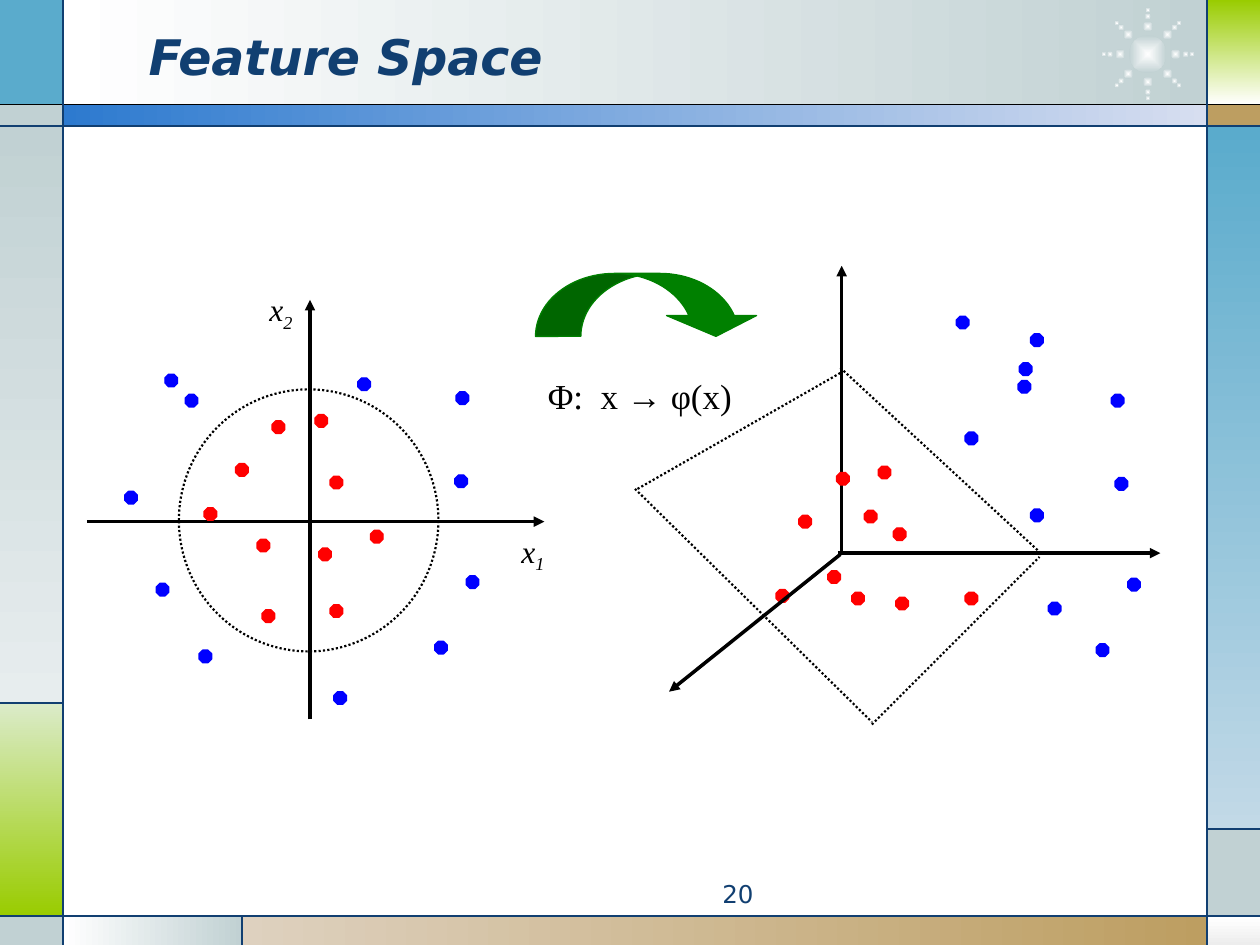
"""Build the Feature Space slide: a kernel map from a plane to a 3-D space."""
import math

from lxml import etree
from pptx import Presentation
from pptx import util as u
from pptx.dml.color import RGBColor
from pptx.enum import dml, shapes, text
from pptx.oxml.ns import qn

SANS, SERIF = "DejaVu Sans", "Times New Roman"
NAVY, BLACK, RED, BLUE, GREEN = "113F71", "000000", "FF0000", "0000FF", "008000"
COLUMNS = [0, 0.5, 1.92, 9.58, 10]
ROWS = [0, 0.83, 1, 5.58, 6.58, 7.27, 7.5]
DOWN, ACROSS = 270, 0

PANELS = [  # (first column, end column), (first row, end row), colours, direction
    ((1, 3), (0, 1), ["FFFFFF", "C1D1D3"], ACROSS),
    ((0, 1), (0, 1), ["5AABCC"], None),
    ((0, 1), (1, 2), ["C1D1D3"], None),
    ((0, 1), (2, 3), ["C1D1D3", "E7EDEE"], DOWN),
    ((0, 1), (3, 5), ["DBEBC9", "99CC00"], DOWN),
    ((0, 1), (5, 6), ["C1D1D3"], None),
    ((1, 2), (5, 6), ["FFFFFF", "C1D1D3"], ACROSS),
    ((2, 3), (5, 6), ["DED1BF", "BD9E61"], ACROSS),
    ((3, 4), (5, 6), ["FFFFFF", "EDEDED"], DOWN),
    ((3, 4), (4, 5), ["C1D1D3"], None),
    ((3, 4), (2, 4), ["5AABCC", "C2D9E7"], DOWN),
    ((3, 4), (1, 2), ["BD9E61"], None),
    ((3, 4), (0, 1), ["99CC00", "FFFFFF"], DOWN),
    ((1, 3), (1, 2), ["2D7ACF", "D7DEF0"], ACROSS),
]
RULES = [
    ((0, 1), (4, 1), BLACK), ((0, 2), (4, 2), NAVY), ((0, 5), (4, 5), NAVY),
    ((1, 0), (1, 6), NAVY), ((3, 0), (3, 6), NAVY), ((1, 3), (0, 3), NAVY),
    ((2, 5), (2, 6), NAVY), ((3, 4), (4, 4), NAVY),
]
SUN_CENTRE, SUN_CORE, SUN_RAYS = (9.11, 0.43), 0.3, 8
SUN_BEADS = [(0.22, 0.08), (0.3, 0.05), (0.35, 0.04)]

UNIT, DOT = 0.01, 0.1
PLOTS = [
    {
        "origin": (6.68, 4.39),
        "axes": [((0, 1), (0, 228)), ((-3, 0), (253, 0))],
        RED: [(34, 64), (-29, 25), (13, -36), (103, -36), (1, 59), (23, 29),
              (48, -40), (46, 15), (-6, -19), (-47, -34)],
        BLUE: [(222, 55), (207, -77), (155, 169), (155, 30), (232, -25), (103, 91),
               (169, -44), (146, 146), (145, 132), (96, 183), (219, 121)],
        "depth": [((-1, -1), (-137, -110))],
        "plane": [((-1, 147), (157, 1)), ((24, -136), (157, -3)),
                  ((-162, 51), (-1, 143)), ((-164, 51), (24, -134))],
        "circle": [],
    },
    {
        "origin": (2.46, 4.14),
        "axes": [((0, -157), (0, 176)), ((-177, 0), (186, 0))],
        RED: [(9, 80), (-54, 41), (-37, -19), (21, -71), (-25, 75), (-79, 6),
              (-33, -75), (21, 31), (53, -12), (12, -26)],
        BLUE: [(120, 32), (104, -100), (-142, 19), (24, -140), (129, -48), (-83, -107),
               (-117, -54), (-110, 112), (43, 109), (-94, 96), (121, 98)],
        "depth": [],
        "plane": [],
        "circle": [((-1, 1), (2.06, 2.08))],
    },
]
LABELS = [
    ((4.04, 4.17, 0.5, 0.4), [("x", 0), ("1", -25)], 18, SERIF, BLACK, True, "LEFT"),
    ((2.04, 2.25, 0.5, 0.4), [("x", 0), ("2", -25)], 18, SERIF, BLACK, True, "LEFT"),
    ((4.25, 2.92, 2.08, 0.43), [("Φ:  x → φ(x)", 0)], 20, SERIF, BLACK, False, "LEFT"),
    ((3.75, 6.93, 2.33, 0.27), [("20", 0)], 14, SANS, NAVY, False, "RIGHT"),
]


def rgb(value):
    """Turn a hex string into a colour."""
    return RGBColor.from_string(value)


def inches(values):
    """Turn numbers into lengths."""
    return [u.Inches(value) for value in values]


def add_form(kind, box, colours=(), direction=None, outline=None, dotted=False):
    """Add a preset shape with a plain, graded or empty fill."""
    form = slide.shapes.add_shape(kind, *inches(box))
    form.shadow.inherit = False
    if len(colours) == 2:
        form.fill.gradient()
        if direction is not None:
            form.fill.gradient_angle = direction
        for stop, colour in zip(form.fill.gradient_stops, colours):
            stop.color.rgb = rgb(colour)
    elif colours:
        form.fill.solid()
        form.fill.fore_color.rgb = rgb(colours[0])
    else:
        form.fill.background()
    if outline:
        style_line(form.line, outline, 1.25 if dotted else 0.75, dotted)
    else:
        form.line.fill.background()
    return form


def style_line(line, colour, width, dotted=False):
    """Set the colour, width and dash of a line."""
    line.color.rgb = rgb(colour)
    line.width = u.Pt(width)
    if dotted:
        line.dash_style = dml.MSO_LINE.ROUND_DOT


def add_line(start, end, colour, width, dotted=False, arrow=False):
    """Add a straight line, with an arrowhead at its end if wanted."""
    line = slide.shapes.add_connector(
        shapes.MSO_CONNECTOR.STRAIGHT, *inches([*start, *end]))
    style_line(line.line, colour, width, dotted)
    if arrow:
        etree.SubElement(line.line._get_or_add_ln(), qn("a:tailEnd"), type="triangle")
    etree.SubElement(line._element.spPr, qn("a:effectLst"))


def centred(centre, width, height):
    """Return the box of a given size around a point."""
    return centre[0] - width / 2, centre[1] - height / 2, width, height


def add_bead(centre, size):
    """Add a round bead that is white in the middle."""
    bead = add_form(shapes.MSO_SHAPE.OVAL, centred(centre, size, size), ["FFFFFF", "C1D1D3"])
    grade = bead._element.spPr.find(qn("a:gradFill"))
    grade.remove(grade.find(qn("a:lin")))
    glow = etree.SubElement(grade, qn("a:path"), path="shape")
    etree.SubElement(glow, qn("a:fillToRect"), l="50000", t="50000", r="50000", b="50000")


def add_plot(plot):
    """Draw axes, dots and boundary around the plot's origin."""
    def place(point):
        return plot["origin"][0] + point[0] * UNIT, plot["origin"][1] - point[1] * UNIT

    for start, end in plot["axes"]:
        add_line(place(start), place(end), BLACK, 2, arrow=True)
    for colour in (RED, BLUE):
        for point in plot[colour]:
            add_form(shapes.MSO_SHAPE.OCTAGON, centred(place(point), DOT, DOT),
                     [colour], outline=colour)
    for start, end in plot["depth"]:
        add_line(place(start), place(end), BLACK, 2, arrow=True)
    for start, end in plot["plane"]:
        add_line(place(start), place(end), BLACK, 1.25, dotted=True)
    for centre, size in plot["circle"]:
        add_form(shapes.MSO_SHAPE.OVAL, centred(place(centre), *size),
                 outline=BLACK, dotted=True)


def write(frame, runs, size, face, colour, italic, align, bold=False):
    """Write one paragraph of runs, each with its baseline shift."""
    frame.word_wrap = True
    frame.auto_size = text.MSO_AUTO_SIZE.NONE
    paragraph = frame.paragraphs[0]
    paragraph.alignment = text.PP_ALIGN[align]
    for words, baseline in runs:
        run = paragraph.add_run()
        run.text = words
        run.font.size, run.font.name = u.Pt(size), face
        run.font.bold, run.font.italic = bold, italic
        run.font.color.rgb = rgb(colour)
        if baseline:
            run.font._element.set("baseline", str(baseline * 1000))


deck = Presentation()
deck.slide_width, deck.slide_height = inches((10, 7.5))
slide = deck.slides.add_slide(deck.slide_layouts[5])

for (left, right), (top, bottom), colours, direction in PANELS:
    add_form(shapes.MSO_SHAPE.RECTANGLE,
             (COLUMNS[left], ROWS[top], COLUMNS[right] - COLUMNS[left], ROWS[bottom] - ROWS[top]),
             colours, direction)
add_bead(SUN_CENTRE, SUN_CORE)
for ray in range(SUN_RAYS):
    angle = math.tau * ray / SUN_RAYS
    for radius, size in SUN_BEADS:
        add_bead((SUN_CENTRE[0] + radius * math.cos(angle),
                  SUN_CENTRE[1] + radius * math.sin(angle)), size)
for start, end, colour in RULES:
    add_line(*[(COLUMNS[column], ROWS[row]) for column, row in (start, end)], colour, 0.75)

title = slide.shapes.title
slide.shapes._spTree.append(title._element)
title.left, title.top, title.width, title.height = inches((1.08, 0.13, 7.33, 0.62))
title.text_frame.vertical_anchor = text.MSO_ANCHOR.MIDDLE
write(title.text_frame, [("Feature Space", 0)], 28, SANS, NAVY, True, "LEFT", bold=True)

for plot in PLOTS:
    add_plot(plot)
leap = add_form(shapes.MSO_SHAPE.CURVED_DOWN_ARROW, (4.25, 2.17, 1.79, 0.5), [GREEN], outline=GREEN)
for index, share in enumerate((0.72, 1.43, 0.33)):
    leap.adjustments[index] = share
for box, *style in LABELS:
    write(slide.shapes.add_textbox(*inches(box)).text_frame, *style)

deck.save("out.pptx")
